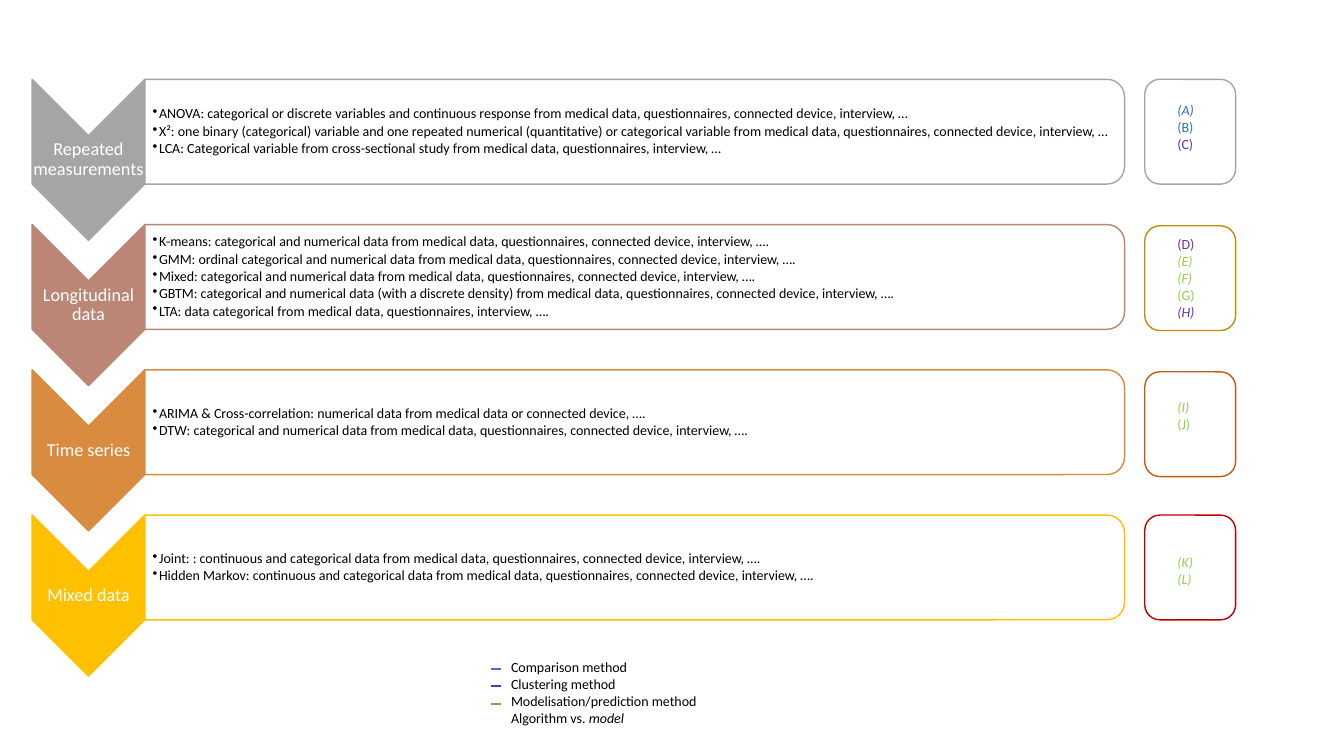
import lxml.etree
import pptx
import pptx.dml.color
import pptx.enum.shapes
import pptx.enum.text
import pptx.oxml.ns
import pptx.util

Cm = pptx.util.Cm
Pt = pptx.util.Pt
RGBColor = pptx.dml.color.RGBColor
MSO_SHAPE = pptx.enum.shapes.MSO_SHAPE
MSO_ANCHOR = pptx.enum.text.MSO_ANCHOR
PP_ALIGN = pptx.enum.text.PP_ALIGN
qn = pptx.oxml.ns.qn

FONT = "Calibri"
WHITE = RGBColor(0xFF, 0xFF, 0xFF)
BLACK = RGBColor(0, 0, 0)
GREY = RGBColor(0xA5, 0xA5, 0xA5)
ROSE = RGBColor(0xBB, 0x86, 0x76)
ORANGE = RGBColor(0xD9, 0x8B, 0x3F)
YELLOW = RGBColor(0xFF, 0xC0, 0x00)
OCHRE = RGBColor(0xBF, 0x90, 0x00)
RUST = RGBColor(0xC5, 0x5A, 0x11)
RED = RGBColor(0xC0, 0x00, 0x00)
BLUE = RGBColor(0x2E, 0x75, 0xB6)
PURPLE = RGBColor(0x70, 0x30, 0xA0)
LIME = RGBColor(0x92, 0xD0, 0x50)
LEGEND_BLUE = RGBColor(0x44, 0x72, 0xC4)
LEGEND_GREEN = RGBColor(0x70, 0xAD, 0x47)

FIRST_ROW_TOP, ROW_PITCH, ROW_HEIGHT = Cm(2), Cm(3.66), Cm(2.64)
CHEVRON_WIDTH, CHEVRON_HEIGHT = Cm(2.84), Cm(4.06)

# Each row: label, colour, methods
DATA_TYPES = [
    ("Repeated measurements", GREY, [
        "ANOVA: categorical or discrete variables and continuous response from medical data, "
        "questionnaires, connected device, interview, …",
        "Χ²: one binary (categorical) variable and one repeated numerical (quantitative) or "
        "categorical variable from medical data, questionnaires, connected device, interview, …",
        "LCA: Categorical variable from cross-sectional study from medical data, "
        "questionnaires, interview, …"]),
    ("Longitudinal data", ROSE, [
        "K-means: categorical and numerical data from medical data, questionnaires, "
        "connected device, interview, ….",
        "GMM: ordinal categorical and numerical data from medical data, questionnaires, "
        "connected device, interview, ….",
        "Mixed: categorical and numerical data from medical data, questionnaires, "
        "connected device, interview, ….",
        "GBTM: categorical and numerical data (with a discrete density) from medical data, "
        "questionnaires, connected device, interview, ….",
        "LTA: data categorical from medical data, questionnaires, interview, …."]),
    ("Time series", ORANGE, [
        "ARIMA & Cross-correlation: numerical data from medical data or connected device, ….",
        "DTW: categorical and numerical data from medical data, questionnaires, "
        "connected device, interview, …."]),
    ("Mixed data", YELLOW, [
        "Joint: : continuous and categorical data from medical data, questionnaires, "
        "connected device, interview, ….",
        "Hidden Markov: continuous and categorical data from medical data, questionnaires, "
        "connected device, interview, …."]),
]

# Each reference box: top, text offset, outline, (letter, colour, italic)
REFERENCES = [
    (Cm(2), Cm(0.44), GREY, [("A", BLUE, True), ("B", BLUE, False), ("C", PURPLE, False)]),
    (Cm(5.69), Cm(0.13), OCHRE, [("D", PURPLE, False), ("E", LIME, True), ("F", LIME, True),
                                 ("G", LIME, False), ("H", PURPLE, True)]),
    (Cm(9.37), Cm(0.54), RUST, [("I", LIME, True), ("J", LIME, False)]),
    (Cm(12.98), Cm(0.84), RED, [("K", LIME, True), ("L", LIME, True)]),
]

LEGEND = [("Comparison method", LEGEND_BLUE), ("Clustering method", PURPLE),
          ("Modelisation/prediction method", LEGEND_GREEN)]


def format_runs(paragraph, size, color, italic=False):
    for run in paragraph.runs:
        run.font.name = FONT
        run.font.size = Pt(size)
        run.font.color.rgb = color
        run.font.italic = italic


def add_text(shapes, left, top, width, height, lines):
    frame = shapes.add_textbox(left, top, width, height).text_frame
    frame.text = "\n".join(lines)
    frame.word_wrap = True
    return frame


def set_tight_margins(frame, left):
    frame.vertical_anchor = MSO_ANCHOR.MIDDLE
    frame.margin_left = left
    frame.margin_top = frame.margin_right = frame.margin_bottom = Cm(0.03)


def add_outlined(shapes, kind, left, top, width, height, line):
    outlined = shapes.add_shape(kind, left, top, width, height)
    outlined.shadow.inherit = False
    outlined.fill.background()
    outlined.line.color.rgb = line
    outlined.line.width = Pt(1)
    return outlined


def add_turned(shapes, kind, left, top, width, height, color, fill):
    """Fill the given box with a shape turned a quarter clockwise."""
    shift = (width - height) // 2
    turned = add_outlined(shapes, kind, left + shift, top - shift, height, width, color)
    turned.rotation = 90
    turned.fill.solid()
    turned.fill.fore_color.rgb = fill
    return turned


def add_bullet(paragraph):
    properties = paragraph._p.get_or_add_pPr()
    properties.set("marL", str(Cm(0.16)))
    properties.set("indent", str(-Cm(0.16)))
    lxml.etree.SubElement(properties, qn("a:buChar")).set("char", "•")


def add_data_type(shapes, left, top, width, label, color, methods):
    add_turned(shapes, MSO_SHAPE.CHEVRON, left, top, CHEVRON_WIDTH, CHEVRON_HEIGHT, color, color)
    label_frame = add_text(shapes, left, top + CHEVRON_WIDTH // 2, CHEVRON_WIDTH,
                           CHEVRON_HEIGHT - CHEVRON_WIDTH, [label])
    set_tight_margins(label_frame, Cm(0.03))
    label_paragraph = label_frame.paragraphs[0]
    label_paragraph.alignment = PP_ALIGN.CENTER
    label_paragraph.line_spacing = 0.9
    format_runs(label_paragraph, 13, WHITE)

    panel_left, panel_width = left + CHEVRON_WIDTH, width - CHEVRON_WIDTH
    panel = add_turned(shapes, MSO_SHAPE.ROUND_2_SAME_RECTANGLE, panel_left, top,
                       panel_width, ROW_HEIGHT, color, WHITE)
    panel_fill = panel._element.spPr.find(qn("a:solidFill"))
    lxml.etree.SubElement(panel_fill[0], qn("a:alpha")).set("val", "90000")
    inset = Cm(0.13)
    methods_frame = add_text(shapes, panel_left, top + inset, panel_width - inset,
                             ROW_HEIGHT - 2 * inset, methods)
    set_tight_margins(methods_frame, Cm(0.2))
    for paragraph in methods_frame.paragraphs:
        paragraph.level = 1
        paragraph.line_spacing = 0.9
        paragraph.space_after = Pt(1.5)
        add_bullet(paragraph)
        format_runs(paragraph, 10, BLACK)


def add_reference_box(shapes, left, top, width, height, text_offset, outline, references):
    add_outlined(shapes, MSO_SHAPE.ROUNDED_RECTANGLE, left, top, width, height, outline)
    frame = add_text(shapes, left + Cm(0.57), top + text_offset, Cm(1.09),
                     Cm(0.25 + 0.43 * len(references)), [f"({ref[0]})" for ref in references])
    for paragraph, (_, color, italic) in zip(frame.paragraphs, references):
        format_runs(paragraph, 10, color, italic)


def add_legend(shapes, left, top, width, height):
    key_width = Cm(0.25)
    frame = add_text(shapes, left + key_width, top, width - key_width, height,
                     [name for name, _ in LEGEND] + ["Algorithm vs. "])
    closing = frame.paragraphs[-1]
    model = closing.add_run()
    model.text = "model"
    for paragraph in frame.paragraphs:
        format_runs(paragraph, 10, BLACK)
    model.font.italic = True
    for index, (_, color) in enumerate(LEGEND):
        y = top + Cm(0.37) + index * Cm(0.44)
        key = shapes.add_connector(pptx.enum.shapes.MSO_CONNECTOR.STRAIGHT,
                                   left, y, left + key_width, y)
        key.line.color.rgb = color
        key.line.width = Pt(1.5)
        lxml.etree.SubElement(key._element.spPr, qn("a:effectLst"))


def main():
    presentation = pptx.Presentation()
    presentation.slide_width = Cm(33.87)
    presentation.slide_height = Cm(19.05)
    slide = presentation.slides.add_slide(presentation.slide_layouts[6])
    overview = slide.shapes.add_group_shape()
    for index, (label, color, methods) in enumerate(DATA_TYPES):
        add_data_type(overview.shapes, Cm(0.81), FIRST_ROW_TOP + index * ROW_PITCH, Cm(27.53),
                      label, color, methods)
    for top, text_offset, outline, references in REFERENCES:
        add_reference_box(slide.shapes, Cm(28.85), top, Cm(2.29), ROW_HEIGHT,
                          text_offset, outline, references)
    add_legend(slide.shapes, Cm(12.38), Cm(16.48), Cm(5.53), Cm(1.96))
    presentation.save("out.pptx")


if __name__ == "__main__":
    main()
